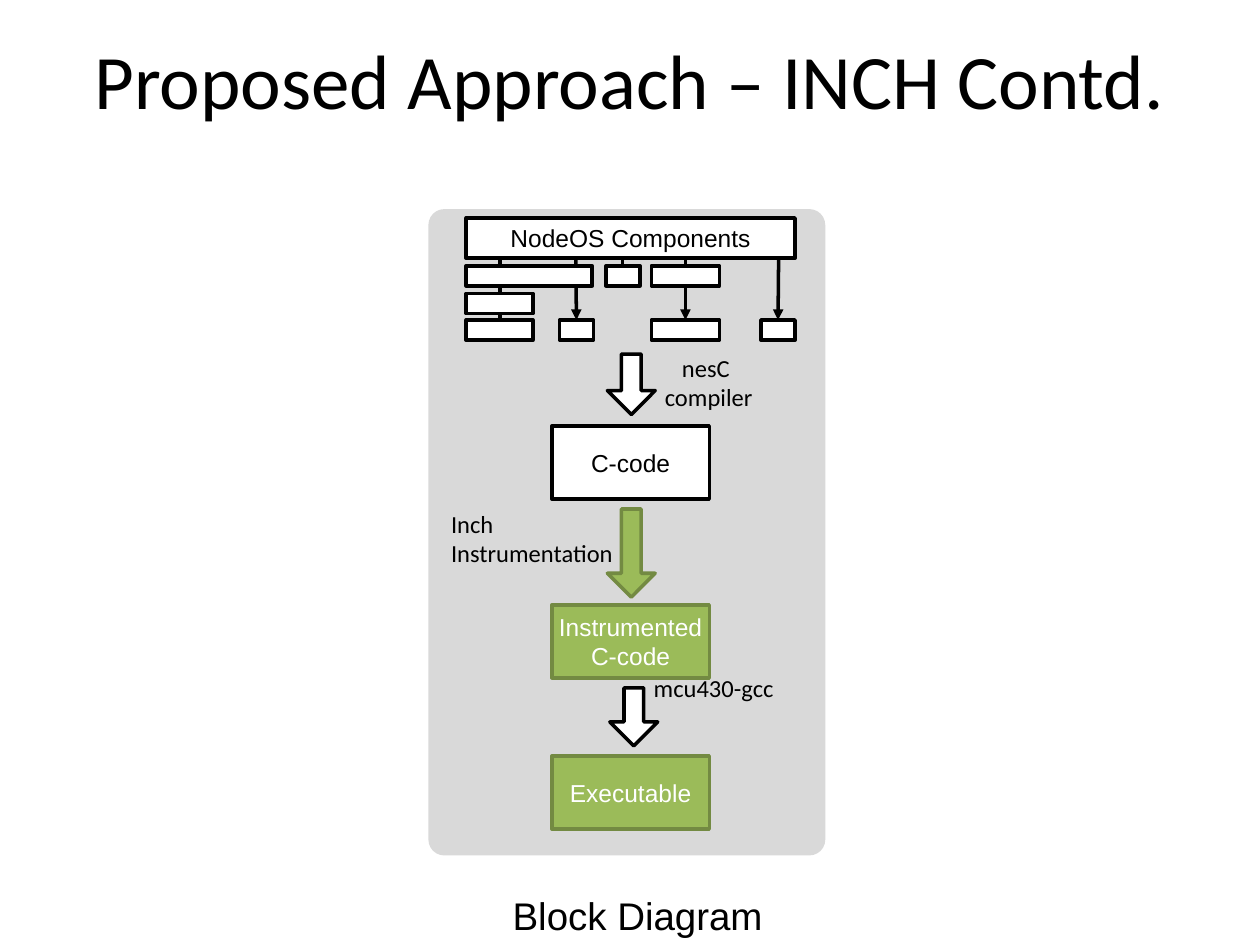
from pptx import Presentation
from pptx.dml.color import RGBColor
from pptx.enum.shapes import MSO_CONNECTOR, MSO_SHAPE
from pptx.enum.text import MSO_ANCHOR, MSO_AUTO_SIZE, PP_ALIGN
from pptx.oxml.ns import qn
from pptx.util import Inches, Pt
from lxml import etree

RECT = MSO_SHAPE.RECTANGLE
ROUND = MSO_SHAPE.ROUNDED_RECTANGLE
ARROW = MSO_SHAPE.RIGHT_ARROW
LINE = MSO_CONNECTOR.STRAIGHT
MIDDLE = MSO_ANCHOR.MIDDLE
GROW = MSO_AUTO_SIZE.SHAPE_TO_FIT_TEXT
LEFT, CENTER = PP_ALIGN.LEFT, PP_ALIGN.CENTER

BLACK = RGBColor(0x00, 0x00, 0x00)
WHITE = RGBColor(0xFF, 0xFF, 0xFF)
GRAY = RGBColor(0xD9, 0xD9, 0xD9)
GREEN = RGBColor(0x9B, 0xBB, 0x59)
OLIVE = RGBColor(0x73, 0x8A, 0x42)

PLAIN = (WHITE, BLACK, BLACK)
NEW = (GREEN, OLIVE, WHITE)

PARTS = [(4.44, 2.54, 0.27), (5.17, 2.54, 0.54), (6.04, 2.54, 0.27),
         (4.81, 2.11, 0.27), (5.17, 2.11, 0.54), (3.7, 2.11, 1),
         (3.7, 2.33, 0.53), (3.7, 2.54, 0.53)]
LINKS = [(4.57, 2.03, 2.53), (5.44, 2.03, 2.53), (6.18, 2.01, 2.53),
         (3.97, 2.01, 2.62), (4.94, 1.76, 2.26)]
ARROWS = [(4.77, 2.86, 0.48, PLAIN), (4.66, 4.2, 0.7, NEW),
          (4.8, 5.5, 0.46, PLAIN)]
STAGES = [(3.38, ["C-code"], PLAIN),
          (4.8, ["Instrumented", "C-code"], NEW),
          (6, ["Executable"], NEW)]


def place(left, top, width, height):
    return [Inches(n) for n in (left, top, width, height)]


def write(frame, lines, size, font, color, align):
    for i, line in enumerate(lines):
        para = frame.add_paragraph() if i else frame.paragraphs[0]
        para.alignment = align
        for j, part in enumerate(line.split("\n")):
            if j:
                para.add_line_break()
            run = para.add_run()
            run.text = part
            run.font.size = Pt(size)
            run.font.name = font
            run.font.color.rgb = color


def trim(frame):
    frame.margin_left = frame.margin_right = 0
    frame.margin_top = frame.margin_bottom = 0


def add_title(slide, text):
    title = slide.shapes.title
    title.left, title.top, title.width, title.height = place(0.5, 0, 9, 1.25)
    title.text_frame.vertical_anchor = MIDDLE
    write(title.text_frame, [text], 44, "Calibri", BLACK, CENTER)


def add_panel(slide):
    panel = slide.shapes.add_shape(ROUND, *place(3.4, 1.66, 3.15, 5.13))
    panel.adjustments[0] = 0.04
    panel.shadow.inherit = False
    panel.fill.solid()
    panel.fill.fore_color.rgb = GRAY
    panel.line.fill.background()


def add_block(slide, kind, area, style, lines=()):
    block = slide.shapes.add_shape(kind, *place(*area))
    block.shadow.inherit = False
    block.fill.solid()
    block.fill.fore_color.rgb = style[0]
    block.line.color.rgb = style[1]
    block.line.width = Pt(2)
    frame = block.text_frame
    frame.vertical_anchor = MIDDLE
    trim(frame)
    write(frame, lines, 14, "Arial", style[2], CENTER)
    return block


def add_arrow(slide, left, top, length, style):
    arrow = add_block(slide, ARROW, (left, top, length, 0.38), style)
    arrow.adjustments[0] = 0.41
    arrow.adjustments[1] = 0.5
    arrow.rotation = 90


def add_link(slide, x, top, end):
    link = slide.shapes.add_connector(
        LINE, Inches(x), Inches(top), Inches(x), Inches(end))
    link.line.color.rgb = BLACK
    link.line.width = Pt(2)
    etree.SubElement(link.line._get_or_add_ln(), qn("a:tailEnd"),
                     type="triangle")
    etree.SubElement(link._element.spPr, qn("a:effectLst"))
    return link


def add_label(slide, area, lines, size=14, font="Calibri", align=LEFT,
              tight=False, wrap=True):
    frame = slide.shapes.add_textbox(*place(*area)).text_frame
    frame.word_wrap = wrap
    frame.auto_size = GROW
    if tight:
        trim(frame)
    write(frame, lines, size, font, BLACK, align)


def main():
    deck = Presentation()
    deck.slide_width, deck.slide_height = Inches(10), Inches(7.5)
    slide = deck.slides.add_slide(deck.slide_layouts[5])
    add_title(slide, "Proposed Approach – INCH Contd.")
    add_panel(slide)
    for arrow in ARROWS:
        add_arrow(slide, *arrow)
    add_label(slide, (3.58, 4.04, 1.71, 0.47), ["Inch", "Instrumentation"],
              tight=True)
    add_label(slide, (5.09, 5.29, 2, 0.34), ["mcu430-gcc"])
    for top, lines, style in STAGES:
        add_block(slide, RECT, (4.38, top, 1.25, 0.58), style, lines)
    links = [add_link(slide, *link) for link in LINKS]
    parts = [add_block(slide, RECT, (*part, 0.16), PLAIN) for part in PARTS]
    for link, part in zip(links[:3], parts):
        link.end_connect(part, 0)
    add_block(slide, RECT, (3.7, 1.73, 2.61, 0.32), PLAIN,
              ["NodeOS Components"])
    add_label(slide, (4.71, 2.8, 1.83, 0.47), ["nesC \ncompiler"],
              align=CENTER, tight=True)
    add_label(slide, (3.97, 7.03, 2.21, 0.47), ["Block Diagram"], 22, "Arial",
              wrap=False)
    deck.save("out.pptx")


if __name__ == "__main__":
    main()
